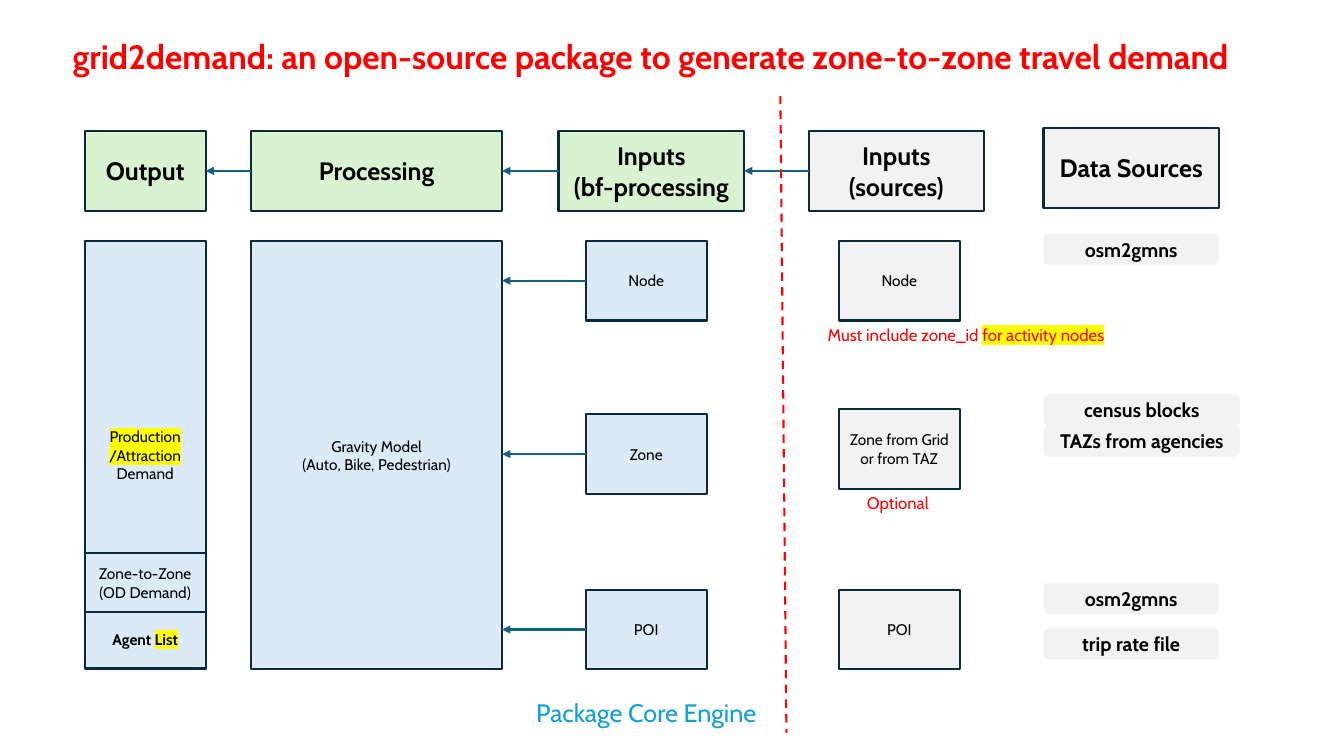
from dataclasses import dataclass
from lxml.etree import SubElement
from pptx import Presentation
from pptx.dml.color import RGBColor
from pptx.enum.dml import MSO_LINE
from pptx.enum.shapes import MSO_CONNECTOR, MSO_SHAPE
from pptx.enum.text import MSO_ANCHOR, MSO_AUTO_SIZE, PP_ALIGN
from pptx.oxml import parse_xml
from pptx.oxml.ns import nsdecls, qn
from pptx.shapes.autoshape import Shape
from pptx.shapes.connector import Connector
from pptx.slide import Slide
from pptx.text.text import TextFrame
from pptx.util import Inches, Pt


@dataclass(frozen=True)
class Theme:
    font: str = "Cabin"
    ink: str = "000000"
    edge: str = "092A39"
    arrow: str = "156082"
    blue: str = "DCEAF7"
    green: str = "D9F2D0"
    gray: str = "F2F2F2"
    red: str = "FF0000"
    sky: str = "0F9ED5"
    mark: str = "FFFF00"
    title: int = 24
    head: int = 18
    pill: int = 14
    note: int = 12
    body: int = 11
    line: float = 1.5


THEME = Theme()


@dataclass(frozen=True)
class Box:
    """Text between bars is highlighted."""
    text: str
    left: float
    top: float
    width: float
    height: float
    fill: str
    size: int = THEME.body
    bold: bool = False
    pill: bool = False


@dataclass(frozen=True)
class Note:
    text: str
    left: float
    top: float
    width: float
    height: float
    size: int
    color: str


def rgb(code: str) -> RGBColor:
    return RGBColor.from_string(code)


def write(frame: TextFrame, text: str, size: int, color: str,
          bold: bool = False, align: PP_ALIGN = PP_ALIGN.CENTER) -> None:
    frame.text = text.replace("|", "")
    for para, line in zip(frame.paragraphs, text.split("\n")):
        para.alignment = align
        parts = line.split("|")
        if len(parts) > 1:
            para.clear()
            for part in filter(None, parts):
                para.add_run().text = part
        marked = [i % 2 == 1 for i, part in enumerate(parts) if part]
        for run, lit in zip(para.runs, marked):
            font = run.font
            font.name, font.size, font.bold = THEME.font, Pt(size), bold
            font.color.rgb = rgb(color)
            if lit:
                glow = parse_xml(f'<a:highlight {nsdecls("a")}>'
                                 f'<a:srgbClr val="{THEME.mark}"/></a:highlight>')
                run._r.rPr.find(qn("a:solidFill")).addnext(glow)


def draw_box(slide: Slide, box: Box) -> Shape:
    kind = MSO_SHAPE.ROUNDED_RECTANGLE if box.pill else MSO_SHAPE.RECTANGLE
    shape = slide.shapes.add_shape(kind, Inches(box.left), Inches(box.top),
                                   Inches(box.width), Inches(box.height))
    shape.shadow.inherit = False
    shape.fill.solid()
    shape.fill.fore_color.rgb = rgb(box.fill)
    if box.pill:
        shape.line.fill.background()
    else:
        shape.line.color.rgb = rgb(THEME.edge)
        shape.line.width = Pt(THEME.line)
    shape.text_frame.vertical_anchor = MSO_ANCHOR.MIDDLE
    write(shape.text_frame, box.text, box.size, THEME.ink, box.bold)
    return shape


def draw_note(slide: Slide, note: Note) -> None:
    frame = slide.shapes.add_textbox(
        Inches(note.left), Inches(note.top),
        Inches(note.width), Inches(note.height)).text_frame
    frame.word_wrap = False
    frame.auto_size = MSO_AUTO_SIZE.SHAPE_TO_FIT_TEXT
    write(frame, note.text, note.size, note.color, align=PP_ALIGN.LEFT)


def draw_line(slide: Slide, x1: int, y1: int, x2: int, y2: int,
              color: str) -> Connector:
    line = slide.shapes.add_connector(MSO_CONNECTOR.STRAIGHT, x1, y1, x2, y2)
    line.line.color.rgb = rgb(color)
    line.line.width = Pt(THEME.line)
    SubElement(line._element.spPr, qn("a:effectLst"))
    return line


def draw_arrow(slide: Slide, start: Shape, end: Shape, join: bool) -> None:
    """Point from the left side of one box to the right side of another."""
    y = start.top + start.height // 2
    line = draw_line(slide, start.left, y, end.left + end.width, y, THEME.arrow)
    line.begin_connect(start, 1)
    if join:
        line.end_connect(end, 3)
    SubElement(line.line._get_or_add_ln(), qn("a:tailEnd"), type="triangle")


# Columns and rows
OUT, PROC, READY, SOURCE, DATA = 0.84, 2.49, 5.81, 8.32, 10.35
CELL, WIDE, TALL, HEAD = 1.2, 2.49, 0.79, 1.3
TOP, LOW = 2.39, 5.85
SPAN = LOW + TALL - TOP

HEADS = [Box(text, left, top, width, TALL, fill, THEME.head, True)
         for text, left, top, width, fill in [
             ("Output", OUT, HEAD, CELL, THEME.green),
             ("Processing", PROC, HEAD, WIDE, THEME.green),
             ("Inputs\n(bf-processing", 5.54, HEAD, 1.84, THEME.green),
             ("Inputs\n(sources)", 8.02, HEAD, 1.74, THEME.gray),
             ("Data Sources", DATA, 1.27, 1.74, THEME.gray)]]
MODEL = Box("Gravity Model\n(Auto, Bike, Pedestrian)",
            PROC, TOP, WIDE, SPAN, THEME.blue)
OUTPUTS = [
    Box("|Production|\n|/Attraction |Demand", OUT, TOP, CELL, SPAN, THEME.blue),
    Box("Agent |List|", OUT, 6.05, CELL, 0.58, THEME.blue, bold=True),
    Box("Zone-to-Zone\n(OD Demand)", OUT, 5.49, CELL, 0.58, THEME.blue)]
INPUTS = [Box(text, READY, top, CELL, TALL, THEME.blue)
          for text, top in [("Node", TOP), ("Zone", 4.11), ("POI", LOW)]]
SOURCES = [Box(text, SOURCE, top, CELL, TALL, THEME.gray)
           for text, top in [("Node", TOP), ("Zone from Grid or from TAZ", 4.06),
                             ("POI", LOW)]]
PILLS = [Box(text, DATA, top, width, 0.31, THEME.gray, THEME.pill, True, True)
         for text, top, width in [
             ("osm2gmns", 2.32, 1.74), ("census blocks", 3.91, 1.95),
             ("TAZs from agencies", 4.22, 1.95), ("osm2gmns", 5.78, 1.74),
             ("trip rate file", 6.23, 1.74)]]
NOTES = [
    Note("Package Core Engine", 5.22, 6.87, 2.48, 0.4, THEME.head, THEME.sky),
    Note("Must include zone_id |for activity nodes|", 8.11, 3.17, 3.01, 0.3,
         THEME.note, THEME.red),
    Note("Optional", 8.5, 4.84, 0.83, 0.3, THEME.note, THEME.red)]


def main() -> None:
    deck = Presentation()
    deck.slide_width, deck.slide_height = Inches(13.33), Inches(7.5)
    slide = deck.slides.add_slide(deck.slide_layouts[5])

    # Title
    title = slide.shapes.title
    title.left, title.top = Inches(0.62), Inches(0.31)
    title.width, title.height = Inches(12.26), Inches(0.5)
    title.text_frame.vertical_anchor = MSO_ANCHOR.TOP
    title.text_frame.auto_size = MSO_AUTO_SIZE.NONE
    write(title.text_frame, "grid2demand: an open-source package to generate "
          "zone-to-zone travel demand", THEME.title, THEME.red, True, PP_ALIGN.LEFT)

    # Boxes
    heads = [draw_box(slide, box) for box in HEADS]
    model = draw_box(slide, MODEL)
    inputs = [draw_box(slide, box) for box in INPUTS]
    for box in OUTPUTS + SOURCES + PILLS:
        draw_box(slide, box)

    # Arrows
    for end, start in zip(heads[:3], heads[1:4]):
        draw_arrow(slide, start, end, True)
    for start in inputs:
        draw_arrow(slide, start, model, False)

    # Divider and notes
    split = draw_line(slide, Inches(7.74), Inches(0.95),
                      Inches(7.8), Inches(7.27), THEME.red)
    split.line.dash_style = MSO_LINE.DASH
    for note in NOTES:
        draw_note(slide, note)

    deck.save("out.pptx")


if __name__ == "__main__":
    main()
